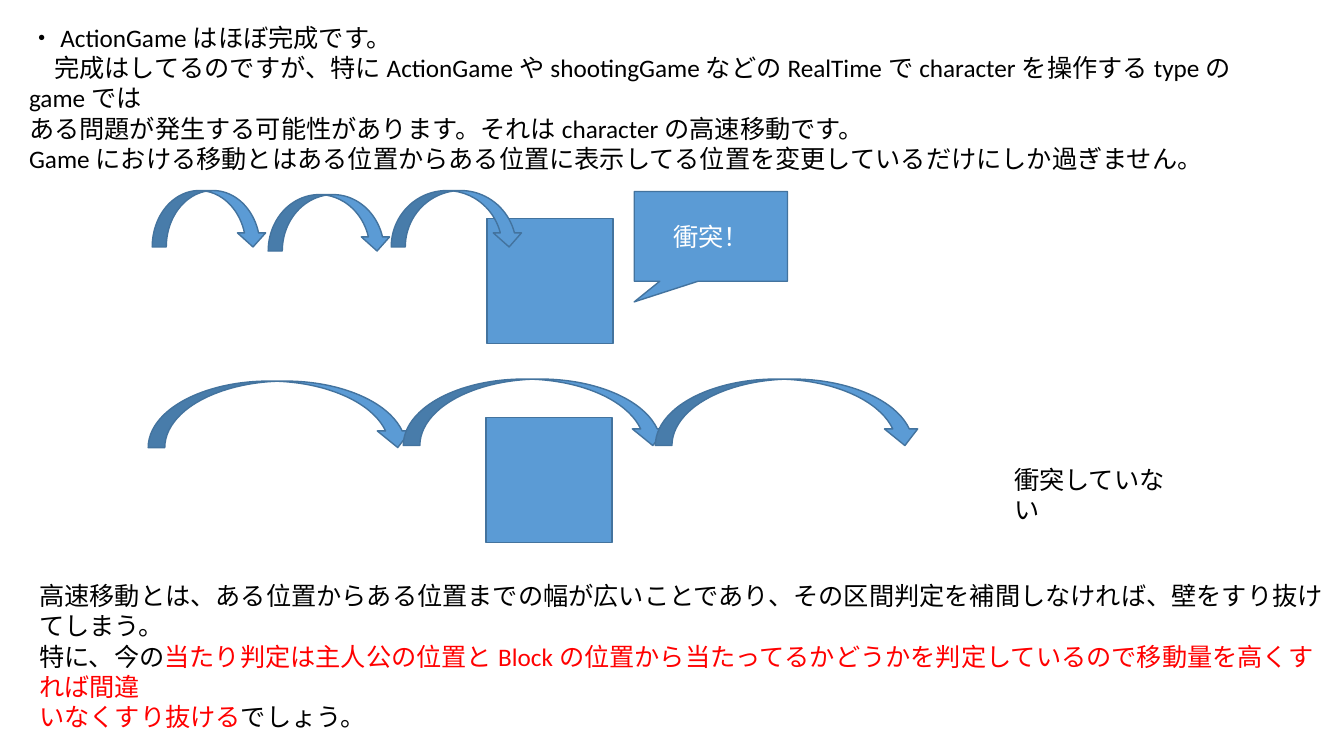
from dataclasses import dataclass

import pptx
import pptx.dml.color
import pptx.enum.shapes
import pptx.enum.text
import pptx.util

Inches = pptx.util.Inches
Shape = pptx.enum.shapes.MSO_SHAPE


@dataclass(frozen=True)
class Theme:
    """Colours, font and sizes used on the slide."""

    fill: str = "5B9BD5"
    outline: str = "43739E"
    text: str = "000000"
    warning: str = "FF0000"
    light: str = "FFFFFF"
    font: str = "Calibri"
    body_size: int = 18
    outline_width: int = 1


THEME = Theme()


def rgb(code):
    """Turn a hex code into a colour."""
    return pptx.dml.color.RGBColor.from_string(code)


def write(frame, paragraphs):
    """Fill a text frame with paragraphs of (text, colour) runs."""
    for index, pieces in enumerate(paragraphs):
        paragraph = frame.paragraphs[0] if index == 0 else frame.add_paragraph()
        for text, colour in pieces:
            run = paragraph.add_run()
            run.text = text
            run.font.name = THEME.font
            run.font.size = pptx.util.Pt(THEME.body_size)
            run.font.color.rgb = rgb(colour)


def add_passage(slide, box, paragraphs):
    """Place a wrapped passage of text in the box."""
    frame = slide.shapes.add_textbox(*map(Inches, box)).text_frame
    frame.word_wrap = True
    frame.auto_size = pptx.enum.text.MSO_AUTO_SIZE.SHAPE_TO_FIT_TEXT
    write(frame, paragraphs)


def add_figure(slide, kind, box):
    """Place a filled and outlined preset shape in the box."""
    figure = slide.shapes.add_shape(kind, *map(Inches, box))
    figure.shadow.inherit = False
    figure.fill.solid()
    figure.fill.fore_color.rgb = rgb(THEME.fill)
    figure.line.color.rgb = rgb(THEME.outline)
    figure.line.width = pptx.util.Pt(THEME.outline_width)
    return figure


def add_hop(slide, box):
    """Place an arched arrow that spans the box from left to right."""
    left, top, width, height = box
    turned = (left + (width - height) / 2, top + (height - width) / 2, height, width)
    add_figure(slide, Shape.CURVED_LEFT_ARROW, turned).rotation = 270


def add_lane(slide, box, block, hops):
    """Place a block and the hops of a character, relative to the box."""
    left, top, _, hop_height = box
    block_left, block_top = block
    add_figure(slide, Shape.RECTANGLE, (left + block_left, top + block_top, 1.25, 1.24))
    for hop_left, hop_top, hop_width in hops:
        add_hop(slide, (left + hop_left, top + hop_top, hop_width, hop_height))


def add_callout(slide, box, text):
    """Place a speech callout pointing to its lower left."""
    callout = add_figure(slide, Shape.RECTANGULAR_CALLOUT, box)
    callout.adjustments[0] = -0.5
    callout.adjustments[1] = 0.73
    frame = callout.text_frame
    frame.vertical_anchor = pptx.enum.text.MSO_ANCHOR.MIDDLE
    write(frame, [[(text, THEME.light)]])
    frame.paragraphs[0].alignment = pptx.enum.text.PP_ALIGN.CENTER


def build_collision_slide(slide):
    """Explain how fast movement slips through a block."""
    introduction = [
        "・ActionGameはほぼ完成です。",
        "\u3000完成はしてるのですが、特にActionGameやshootingGameなどのRealTimeでcharacterを操作するtypeのgameでは".replace("\u3000", "　"),
        "ある問題が発生する可能性があります。それはcharacterの高速移動です。",
        "Gameにおける移動とはある位置からある位置に表示してる位置を変更しているだけにしか過ぎません。",
    ]
    explanation = [
        [("高速移動とは、ある位置からある位置までの幅が広いことであり、その区間判定を補間しなければ、壁をすり抜けてしまう。", THEME.text)],
        [
            ("特に、今の", THEME.text),
            ("当たり判定は主人公の位置とBlockの位置から当たってるかどうかを判定しているので移動量を高くすれば間違", THEME.warning),
        ],
        [("いなくすり抜ける", THEME.warning), ("でしょう。", THEME.text)],
    ]
    add_passage(slide, (0.19, 0.17, 12.2, 1.31), [[(line, THEME.text)] for line in introduction])
    add_lane(
        slide,
        (1.51, 1.89, 3.68, 0.56),
        (3.32, 0.28),
        [(0, 0, 1.14), (1.15, 0.04, 1.22), (2.37, 0, 1.31)],
    )
    add_callout(slide, (6.29, 1.9, 1.52, 0.89), "衝突！")
    add_lane(
        slide,
        (1.47, 3.76, 7.67, 0.66),
        (3.35, 0.38),
        [(0, 0.02, 2.64), (2.53, 0, 2.64), (5.03, 0, 2.64)],
    )
    add_passage(slide, (9.96, 4.56, 1.83, 0.4), [[("衝突していない", THEME.text)]])
    add_passage(slide, (0.29, 5.71, 13.01, 1.01), explanation)


def main():
    """Build and save the presentation."""
    presentation = pptx.Presentation()
    presentation.slide_width = Inches(13.33)
    presentation.slide_height = Inches(7.5)
    build_collision_slide(presentation.slides.add_slide(presentation.slide_layouts[6]))
    presentation.save("out.pptx")


if __name__ == "__main__":
    main()
